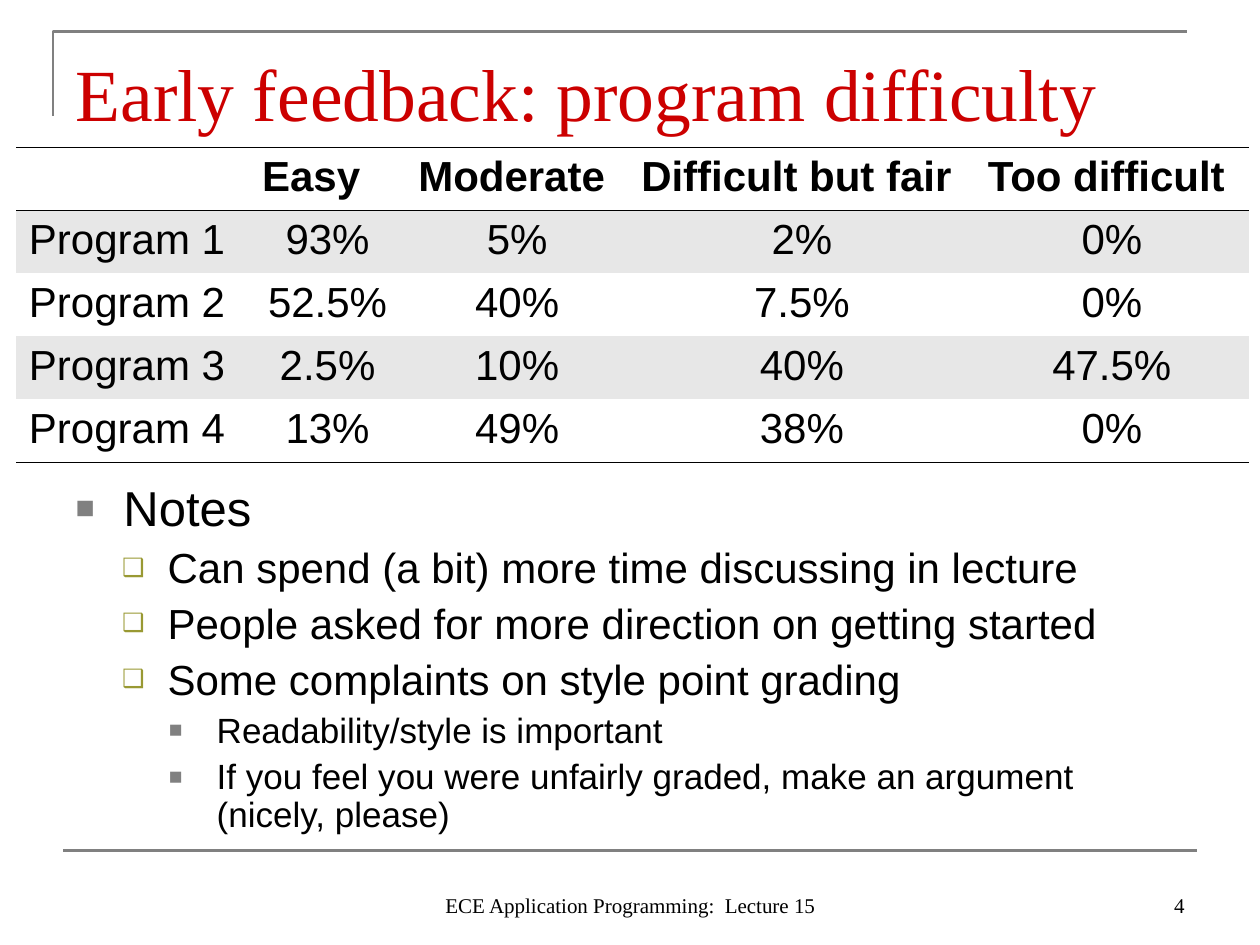
import pptx
import pptx.dml.color
import pptx.enum.shapes
import pptx.enum.text
import pptx.oxml
import pptx.oxml.ns
import pptx.util
from lxml import etree
from pptx.util import Inches, Pt

RGBColor = pptx.dml.color.RGBColor
ALIGN = pptx.enum.text.PP_ALIGN
ANCHOR = pptx.enum.text.MSO_ANCHOR

BLACK = RGBColor(0x00, 0x00, 0x00)
WHITE = RGBColor(0xFF, 0xFF, 0xFF)
BAND = RGBColor(0xE7, 0xE7, 0xE7)
GRAY = RGBColor(0x80, 0x80, 0x80)
RED = RGBColor(0xCC, 0x00, 0x00)
OLIVE = RGBColor(0x99, 0x99, 0x33)
SERIF, SANS = "Times New Roman", "Arial"

TITLE = "Early feedback: program difficulty"
RATINGS = [
    ("", "Easy", "Moderate", "Difficult but fair", "Too difficult"),
    ("Program 1", "93%", "5%", "2%", "0%"),
    ("Program 2", "52.5%", "40%", "7.5%", "0%"),
    ("Program 3", "2.5%", "10%", "40%", "47.5%"),
    ("Program 4", "13%", "49%", "38%", "0%"),
]
COLUMN_WIDTHS = (1.85, 1.24, 1.77, 2.75, 2.17)
ROW_HEIGHT = 0.5
NOTES = [
    (0, "Notes"),
    (1, "Can spend (a bit) more time discussing in lecture"),
    (1, "People asked for more direction on getting started"),
    (1, "Some complaints on style point grading"),
    (2, "Readability/style is important"),
    (2, "If you feel you were unfairly graded, make an argument (nicely, please)"),
]
LEVELS = [
    dict(size=28, before=7, margin=0.38, hang=0.38, bullet="■", color=GRAY, percent=65),
    dict(size=24, before=6, margin=0.73, hang=0.36, bullet="❑", color=OLIVE, percent=60),
    dict(size=20, before=5, margin=1.12, hang=0.38, bullet="■", color=GRAY, percent=65),
]
FOOTERS = [
    ("ECE Application Programming:  Lecture 15", (3.42, 6.83, 3.17, 0.5), ALIGN.CENTER),
    ("4", (7.17, 6.83, 2.33, 0.5), ALIGN.RIGHT),
]


def write(paragraph, text, name, size, color=BLACK, bold=False, alignment=ALIGN.LEFT):
    paragraph.alignment = alignment
    run = paragraph.add_run()
    run.text = text
    for key, value in dict(name=name, size=Pt(size), bold=bold).items():
        setattr(run.font, key, value)
    run.font.color.rgb = color


def place(shape, box):
    for side, length in zip(("left", "top", "width", "height"), box):
        setattr(shape, side, Inches(length))


def set_frame(frame, anchor):
    settings = dict(word_wrap=True, auto_size=pptx.enum.text.MSO_AUTO_SIZE.NONE,
                    vertical_anchor=anchor, margin_left=Inches(0.1),
                    margin_right=Inches(0.1), margin_top=Inches(0.05),
                    margin_bottom=Inches(0.05))
    for key, value in settings.items():
        setattr(frame, key, value)


def add_element(parent, tag, **attributes):
    element = etree.SubElement(parent, pptx.oxml.ns.qn(tag))
    for key, value in attributes.items():
        element.set(key, str(value))
    return element


def add_bullet(paragraph, level):
    properties = paragraph._p.get_or_add_pPr()
    properties.set("marL", str(Inches(level["margin"])))
    properties.set("indent", str(-Inches(level["hang"])))
    color = add_element(properties, "a:buClr")
    add_element(color, "a:srgbClr", val=level["color"])
    add_element(properties, "a:buSzPct", val=level["percent"] * 1000)
    add_element(properties, "a:buFont", typeface=SANS)
    add_element(properties, "a:buChar", char=level["bullet"])


def set_borders(cell, ruled_sides):
    """Rule the named sides (T, B) in black and clear the others."""
    properties = cell._tc.get_or_add_tcPr()
    for side in "LRTB":
        line = add_element(properties, f"a:ln{side}", w=Pt(0.96))
        if side in ruled_sides:
            add_element(add_element(line, "a:solidFill"), "a:srgbClr", val=BLACK)
        else:
            add_element(line, "a:noFill")


def add_ratings(slide):
    height = ROW_HEIGHT * len(RATINGS)
    table = slide.shapes.add_table(
        len(RATINGS), len(COLUMN_WIDTHS), Inches(0.13), Inches(1.17),
        Inches(sum(COLUMN_WIDTHS)), Inches(height)).table
    table.horz_banding = False
    for column, width in zip(table.columns, COLUMN_WIDTHS):
        column.width = Inches(width)
    ruled = {0: "TB", 1: "T", len(RATINGS) - 1: "B"}
    for r, values in enumerate(RATINGS):
        table.rows[r].height = Inches(ROW_HEIGHT)
        for c, value in enumerate(values):
            cell = table.cell(r, c)
            set_borders(cell, ruled.get(r, ""))
            cell.fill.solid()
            cell.fill.fore_color.rgb = BAND if r % 2 else WHITE
            if value:
                write(cell.text_frame.paragraphs[0], value, SANS, 24, bold=r == 0,
                      alignment=ALIGN.CENTER if r and c else ALIGN.LEFT)


def add_rules(slide):
    builder = slide.shapes.build_freeform(Inches(0.42), Inches(0.92))
    builder.add_line_segments(
        [(Inches(0.42), Inches(0.25)), (Inches(9.42), Inches(0.25))], close=False)
    corner = builder.convert_to_shape()
    corner.shadow.inherit = False
    corner.fill.background()
    base = slide.shapes.add_connector(
        pptx.enum.shapes.MSO_CONNECTOR.STRAIGHT,
        Inches(0.5), Inches(6.75), Inches(9.5), Inches(6.75))
    add_element(base._element.spPr, "a:effectLst")
    for rule in (corner, base):
        rule.line.color.rgb = GRAY
        rule.line.width = Pt(1.5)


def add_notes_list(body):
    place(body, (0.5, 3.79, 9, 3.04))
    frame = body.text_frame
    set_frame(frame, ANCHOR.TOP)
    for i, (depth, text) in enumerate(NOTES):
        paragraph = frame.add_paragraph() if i else frame.paragraphs[0]
        level = LEVELS[depth]
        add_bullet(paragraph, level)
        paragraph.level = depth
        paragraph.line_spacing = 0.9
        paragraph.space_before = Pt(level["before"] if i else 0)
        write(paragraph, text, SANS, level["size"])


def main():
    deck = pptx.Presentation()
    deck.slide_width, deck.slide_height = Inches(10), Inches(7.5)
    slide = deck.slides.add_slide(deck.slide_layouts[1])
    add_rules(slide)

    title = slide.shapes.title
    place(title, (0.5, 0.3, 9, 0.78))
    set_frame(title.text_frame, ANCHOR.BOTTOM)
    title.text_frame.margin_bottom = 0
    write(title.text_frame.paragraphs[0], TITLE, SERIF, 42, RED)

    add_ratings(slide)
    add_notes_list(slide.placeholders[1])

    for text, box, alignment in FOOTERS:
        footer = slide.shapes.add_textbox(*map(Inches, box)).text_frame
        set_frame(footer, ANCHOR.BOTTOM)
        write(footer.paragraphs[0], text, SERIF, 12, alignment=alignment)

    deck.save("out.pptx")


if __name__ == "__main__":
    main()
